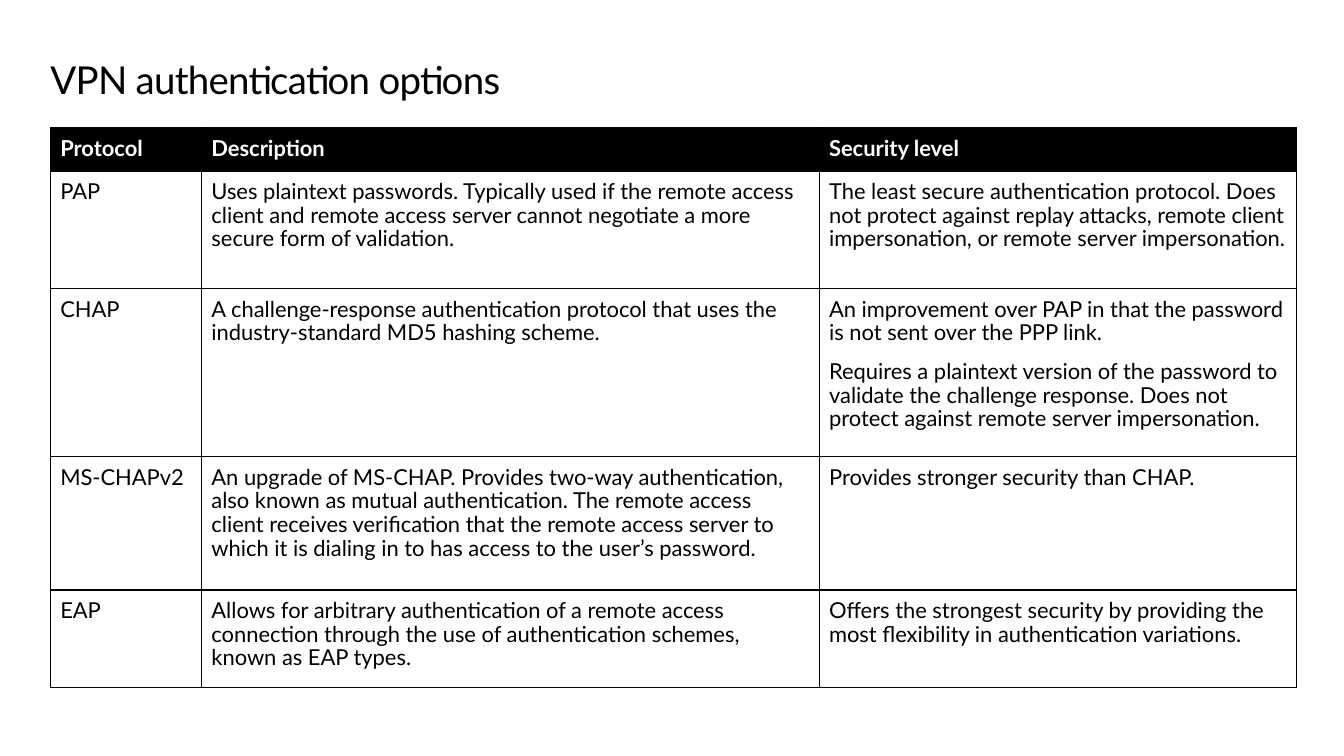
from dataclasses import dataclass

import pptx
import pptx.dml.color
import pptx.enum.text
import pptx.oxml
import pptx.oxml.ns
import pptx.table
import pptx.text.text
import pptx.util
from pptx.util import Inches

BLACK = pptx.dml.color.RGBColor(0x00, 0x00, 0x00)
WHITE = pptx.dml.color.RGBColor(0xFF, 0xFF, 0xFF)
FONT = "Lato"
LEFT, WIDTH = 0.51, 12.61
COLUMN_WIDTHS = (1.53, 6.25, 4.83)
HEADINGS = ("Protocol", "Description", "Security level")
HEADING_HEIGHT = 0.44


@dataclass(frozen=True)
class Protocol:
    name: str
    description: str
    security: str
    height: float


PROTOCOLS = (
    Protocol(
        "PAP",
        "Uses plaintext passwords. Typically used if the remote access client and "
        "remote access server cannot negotiate a more secure form of validation.",
        "The least secure authentication protocol. Does not protect against replay "
        "attacks, remote client impersonation, or remote server impersonation.",
        1.19,
    ),
    Protocol(
        "CHAP",
        "A challenge-response authentication protocol that uses the "
        "industry-standard MD5 hashing scheme.",
        "An improvement over PAP in that the password is not sent over the PPP link.\n"
        "Requires a plaintext version of the password to validate the challenge "
        "response. Does not protect against remote server impersonation.",
        1.7,
    ),
    Protocol(
        "MS-CHAPv2",
        "An upgrade of MS-CHAP. Provides two-way authentication, also known as mutual "
        "authentication. The remote access client receives verification that the remote "
        "access server to which it is dialing in to has access to the user’s password.",
        "Provides stronger security than CHAP.",
        1.35,
    ),
    Protocol(
        "EAP",
        "Allows for arbitrary authentication of a remote access connection through the "
        "use of authentication schemes, known as EAP types.",
        "Offers the strongest security by providing the most flexibility in "
        "authentication variations.",
        0.99,
    ),
)


def style_paragraph(
    paragraph: pptx.text.text._Paragraph,
    size: int,
    color: pptx.dml.color.RGBColor,
    bold: bool = False,
) -> None:
    paragraph.line_spacing = 0.9
    paragraph.font.name = FONT
    paragraph.font.size = pptx.util.Pt(size)
    paragraph.font.bold = bold
    paragraph.font.color.rgb = color


def add_borders(cell: pptx.table._Cell) -> None:
    properties = cell._tc.get_or_add_tcPr()
    for position, side in enumerate(("lnL", "lnR", "lnT", "lnB")):
        border = pptx.oxml.parse_xml(
            f'<a:{side} {pptx.oxml.ns.nsdecls("a")} w="{pptx.util.Pt(1)}">'
            f'<a:solidFill><a:srgbClr val="{BLACK}"/></a:solidFill></a:{side}>'
        )
        properties.insert(position, border)


def fill_cell(cell: pptx.table._Cell, text: str, is_heading: bool) -> None:
    cell.margin_left = cell.margin_right = Inches(0.1)
    cell.margin_top = cell.margin_bottom = Inches(0.1)
    if is_heading:
        cell.vertical_anchor = pptx.enum.text.MSO_ANCHOR.MIDDLE
        cell.fill.solid()
        cell.fill.fore_color.rgb = BLACK
    else:
        cell.vertical_anchor = pptx.enum.text.MSO_ANCHOR.TOP
        cell.fill.background()
    add_borders(cell)
    cell.text = text
    for number, paragraph in enumerate(cell.text_frame.paragraphs):
        style_paragraph(paragraph, 16, WHITE if is_heading else BLACK, is_heading)
        if number:
            paragraph.space_before = pptx.util.Pt(11)


def main() -> None:
    presentation = pptx.Presentation()
    presentation.slide_width = Inches(13.6)
    presentation.slide_height = Inches(7.65)
    slide = presentation.slides.add_slide(presentation.slide_layouts[6])

    title = slide.shapes.add_textbox(
        Inches(LEFT), Inches(0.62), Inches(WIDTH), Inches(0.45)
    ).text_frame
    title.word_wrap = True
    title.margin_left = title.margin_top = title.margin_bottom = 0
    heading = title.paragraphs[0]
    heading.text = "VPN authentication options"
    style_paragraph(heading, 28, BLACK)
    heading.runs[0].font._element.set("spc", "-50")

    rows = [HEADINGS] + [(p.name, p.description, p.security) for p in PROTOCOLS]
    heights = [HEADING_HEIGHT] + [p.height for p in PROTOCOLS]
    options = slide.shapes.add_table(
        len(rows), len(HEADINGS),
        Inches(LEFT), Inches(1.29), Inches(WIDTH), Inches(sum(heights)),
    ).table
    options.horz_banding = False
    for column, width in zip(options.columns, COLUMN_WIDTHS):
        column.width = Inches(width)
    for row_number, (texts, height) in enumerate(zip(rows, heights)):
        row = options.rows[row_number]
        row.height = Inches(height)
        for cell, text in zip(row.cells, texts):
            fill_cell(cell, text, is_heading=row_number == 0)

    presentation.save("out.pptx")


if __name__ == "__main__":
    main()
